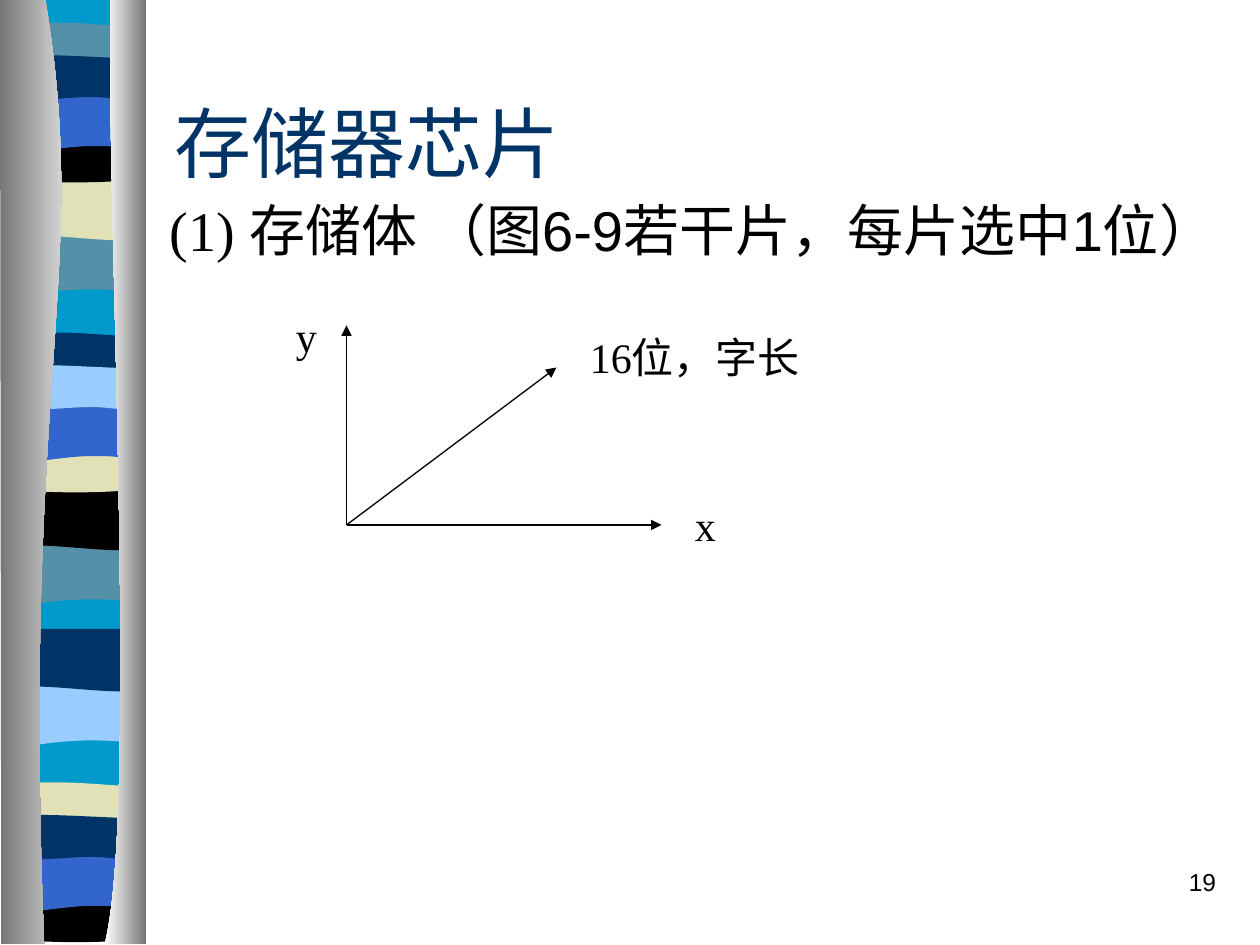
from lxml.etree import SubElement
from pptx import Presentation
from pptx.dml.color import RGBColor as RGB
from pptx.enum.shapes import MSO_CONNECTOR as CONN
from pptx.enum.text import MSO_ANCHOR as ANCHOR, PP_ALIGN as ALIGN
from pptx.oxml.ns import qn
from pptx.util import Inches, Pt

SANS, SERIF, CJK = "Arial", "Times New Roman", "Noto Sans CJK SC"

prs = Presentation()
prs.slide_width, prs.slide_height = Inches(10), Inches(7.5)
COL = prs.slide_width // 120
PCT = prs.slide_width // 100
s = prs.slides.add_slide(prs.slide_layouts[5])


def add_free(path):
    pts = [(round(seg[i] * PCT), round(seg[i + 1] * PCT))
           for seg in path for i in range(0, len(seg), 2)]
    fb = s.shapes.build_freeform(*pts[0], scale=1.0)
    fb.add_line_segments(pts[1:], close=True)
    sp = fb.convert_to_shape()
    lines = iter(sp._element.findall(".//" + qn("a:lnTo")))
    for seg in path[1:]:
        curve, *rest = [next(lines) for _ in range(len(seg) // 2)]
        if rest:
            curve.tag = qn("a:cubicBezTo")
        for line in rest:
            curve.append(line[0])
            line.getparent().remove(line)
    sp.shadow.inherit = False
    sp.line.fill.background()
    return sp


def add_text(sp, box, runs, size, colour="000000", align=ALIGN.LEFT, anchor=ANCHOR.TOP):
    sp.left, sp.top, sp.width, sp.height = [round(v * COL) for v in box]
    tf = sp.text_frame
    for name, value in {"word_wrap": True, "vertical_anchor": anchor}.items():
        setattr(tf, name, value)
    p = tf.paragraphs[0]
    p.alignment = align
    for text, font in runs:
        r = p.add_run()
        r.text = text
        for name, value in {"name": font, "size": Pt(size), "bold": False}.items():
            setattr(r.font, name, value)
        r.font.color.rgb = RGB.from_string(colour)
        SubElement(r.font._element, qn("a:ea"), typeface=CJK)
    return p


BLUE, NAVY, TEAL, SKY, SAND, BLACK = "3366CC", "003366", "5490A8", "99CCFF", "E1E1B7", "000000"
bands = [
    [(11.3, 18.5), (11.3, 18.5, 11.3, 23.2, 11.3, 23.2),
     (3.8, 22.4, 2.3, 24, 0.5, 23.2), (0.5, 18.5), (11.3, 18.5)],
    [(11.4, 14.1), (11.4, 18.8), (9.6, 19.6, 3.9, 18.3, 0.6, 18.8), (0.6, 14.1), (11.4, 14.1)],
    [(11.3, 2.2), (11.3, 4.6), (9.5, 5, 2.3, 5, 0.5, 4.6), (0.5, 2.2),
     (1.2, 1.7, 2.9, 1.8, 4.7, 1.8), (6.5, 1.8, 9.9, 2.1, 11.3, 2.2)],
    [(11.4, 10.8), (11.4, 14.1), (9.6, 14.6, 2.4, 14.6, 0.6, 14.1), (0.6, 10.8),
     (7.2, 11.3, 9.1, 10.8, 11.4, 10.8)],
    [(11.4, 7.5), (11.4, 7.5, 11.4, 12.2, 11.4, 12.2), (9.7, 11.6, 9, 11.6, 7.2, 11.6),
     (5.4, 11.6, 2.2, 12.2, 0.6, 12.2), (0.6, 7.5), (11.4, 7.5)],
    [(11.3, 4.6), (11.3, 7.7), (10.6, 8.2, 9, 7.7, 7.2, 7.7),
     (5.4, 7.7, 1.6, 8.2, 0.5, 7.7), (0.5, 4.6), (2, 4.1, 7.9, 4.6, 9.7, 4.6),
     (11.5, 4.6, 11, 4.6, 11.3, 4.6)],
]
groups = [
    ([0] * 6, [TEAL, SAND, TEAL, BLACK, BLUE, NAVY]),
    ([24.6] * 6, [TEAL, BLACK, NAVY, SAND, BLUE, SKY]),
    ([35.8] * 2 + [60.3] * 4, [SKY, NAVY, SAND, BLACK, BLUE, NAVY]),
]
shapes = [([(11.4, 0), (11.4, 74.7), (0.5, 74.7), (0.5, 0), (11.4, 0)], "0099CC")]
for offsets, colours in groups:
    for band, dy, colour in zip(bands, offsets, colours):
        path = [tuple(v + dy * (i % 2) for i, v in enumerate(seg)) for seg in band]
        shapes.append((path, colour))
for path, colour in shapes:
    sp = add_free(path)
    sp.fill.solid()
    sp.fill.fore_color.rgb = RGB.from_string(colour)

edges = [
    ([(3.6, 0), (7.2, 21.7, 1.7, 29.6, 3.5, 74.9), (0.1, 74.9), (0, 0), (3.6, 0)],
     "767676", "FFFFFF"),
    ([(8.8, 0), (8.3, 12.5, 11.1, 64.7, 8.3, 74.9), (11.6, 74.9), (11.6, 0), (8.8, 0)],
     "FFFFFF", "767676"),
]
for path, *colours in edges:
    sp = add_free(path)
    sp.fill.gradient()
    sp.fill.gradient_angle = 0
    for stop, colour, position in zip(sp.fill.gradient_stops, colours, (0, 1)):
        stop.color.rgb = RGB.from_string(colour)
        stop.position = position

add_text(s.shapes.title, (15.4, 6, 102, 15), [("存储器芯片", CJK)], 44, NAVY, anchor=ANCHOR.MIDDLE)
body = [("(1) ", SERIF), ("存储体", CJK), (" （图6-9若干片，每片选中1位）", SANS)]
p = add_text(s.shapes.add_textbox(0, 0, 0, 0), (15, 18, 102, 61), body, 32)
for name, value in {"marL": Inches(0.38), "indent": -Inches(0.38)}.items():
    p._p.get_or_add_pPr().set(name, str(value))

origin = (33, 50)
for end in [(33, 31), (63, 50), (53, 35)]:
    cx = s.shapes.add_connector(CONN.STRAIGHT, *[v * COL for v in origin + end])
    cx.line.width = Pt(0.75)
    cx.line.color.rgb = RGB.from_string(BLACK)
    SubElement(cx.line._get_or_add_ln(), qn("a:tailEnd"), type="triangle")
    SubElement(cx._element.spPr, qn("a:effectLst"))

labels = [
    ((55, 31, 24, 6), "16位，字长", SERIF, 24, ALIGN.LEFT),
    ((65, 47, 10, 6), "x", SERIF, 24, ALIGN.LEFT),
    ((27, 29, 5, 6), "y", SERIF, 24, ALIGN.LEFT),
    ((92, 82, 25, 6), "19", SANS, 14, ALIGN.RIGHT),
]
for box, text, font, size, align in labels:
    add_text(s.shapes.add_textbox(0, 0, 0, 0), box, [(text, font)], size, align=align)

prs.save("out.pptx")
